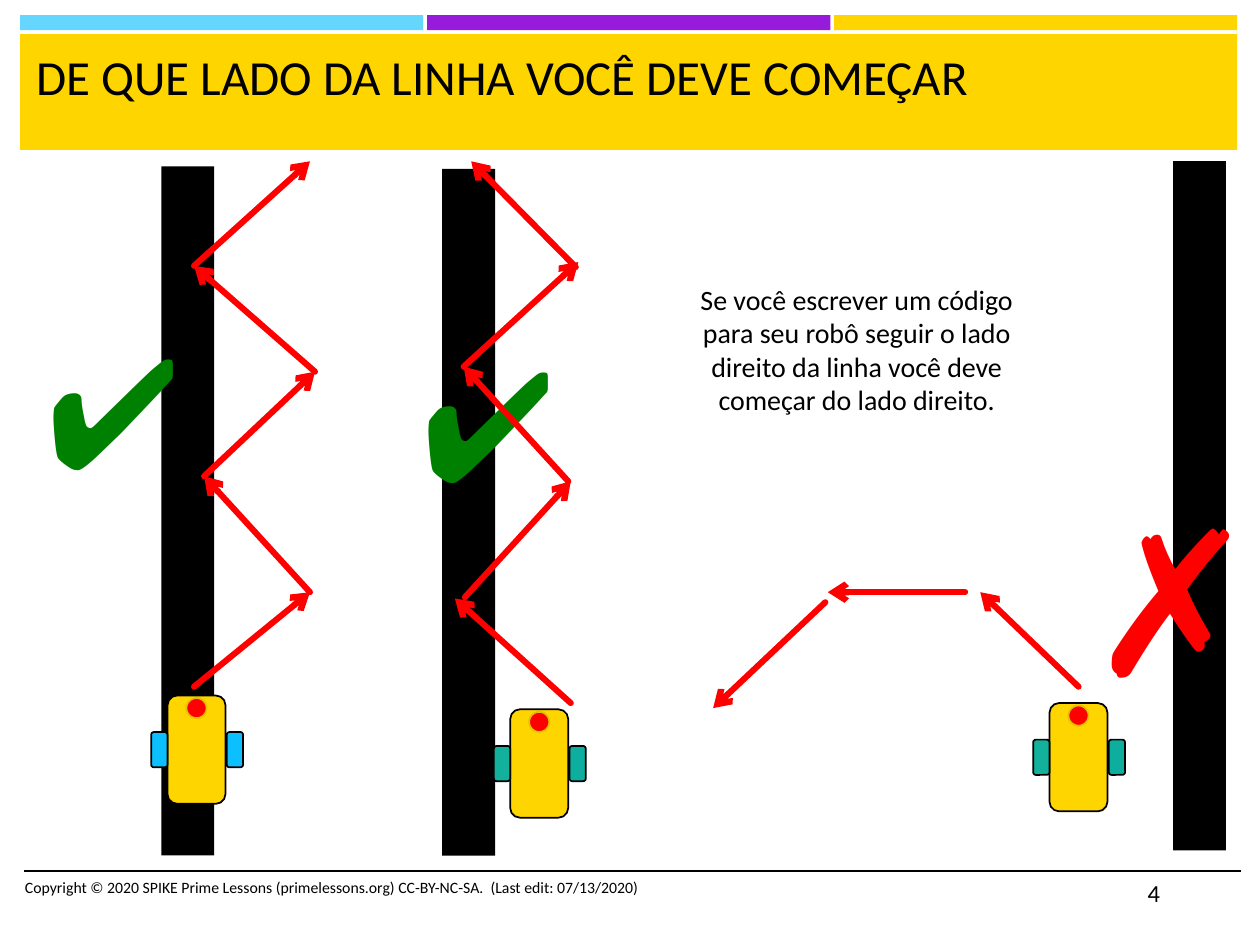
from dataclasses import dataclass
from itertools import pairwise

from lxml.etree import SubElement
from pptx import Presentation
from pptx.dml.color import RGBColor
from pptx.enum.shapes import MSO_CONNECTOR, MSO_SHAPE
from pptx.enum.text import MSO_ANCHOR, PP_ALIGN
from pptx.oxml.ns import qn
from pptx.slide import Slide
from pptx.util import Inches, Pt

BLACK = RGBColor(0x00, 0x00, 0x00)
YELLOW = RGBColor(0xFF, 0xD5, 0x00)
GOLD = RGBColor(0xE6, 0xC0, 0x00)
SKY = RGBColor(0x65, 0xD7, 0xFF)
PURPLE = RGBColor(0x96, 0x1B, 0xDB)
RED = RGBColor(0xFF, 0x00, 0x00)
GREEN = RGBColor(0x00, 0x80, 0x00)
BLUE = RGBColor(0x0C, 0xC0, 0xFF)
TEAL = RGBColor(0x0E, 0xAE, 0x9F)
SEA = RGBColor(0x13, 0xB0, 0x9B)


def format_text(box, text, size, font="Calibri", color=BLACK, align=PP_ALIGN.LEFT):
    frame = box.text_frame
    frame.word_wrap = True
    frame.vertical_anchor = MSO_ANCHOR.TOP
    para = frame.paragraphs[0]
    para.alignment = align
    span = para.add_run()
    span.text = text
    span.font.name = font
    span.font.size = Pt(size)
    span.font.color.rgb = color


@dataclass
class LinePage:
    """Draws the line-following page in one consistent style."""

    page: Slide
    arrow_width: float = 3.5
    outline_width: float = 1

    def shape(self, kind, left, top, width, height, fill, outline=None):
        shape = self.page.shapes.add_shape(
            kind, Inches(left), Inches(top), Inches(width), Inches(height)
        )
        shape.shadow.inherit = False
        shape.fill.solid()
        shape.fill.fore_color.rgb = fill
        if outline is None:
            shape.line.fill.background()
        else:
            shape.line.color.rgb = outline
            shape.line.width = Pt(self.outline_width)

    def bar(self, left, top, width, height, fill):
        self.shape(MSO_SHAPE.RECTANGLE, left, top, width, height, fill)

    def text(self, left, top, width, height, text, **style):
        box = self.page.shapes.add_textbox(
            Inches(left), Inches(top), Inches(width), Inches(height)
        )
        format_text(box, text, **style)

    def line(self, start, end, color, width):
        line = self.page.shapes.add_connector(
            MSO_CONNECTOR.STRAIGHT, *map(Inches, (*start, *end))
        )
        line.line.color.rgb = color
        line.line.width = Pt(width)
        SubElement(line._element.spPr, qn("a:effectLst"))
        return line

    def arrow(self, start, end):
        arrow = self.line(start, end, RED, self.arrow_width)
        stroke = arrow.line._get_or_add_ln()
        stroke.set("cap", "rnd")
        SubElement(stroke, qn("a:tailEnd"), type="arrow")

    def robot(self, left, top, right_wheel, left_wheel):
        rounded = MSO_SHAPE.ROUNDED_RECTANGLE
        self.shape(rounded, left + 0.13, top, 0.46, 0.86, YELLOW, BLACK)
        for offset, color in ((0.6, right_wheel), (0, left_wheel)):
            self.shape(rounded, left + offset, top + 0.29, 0.13, 0.28, color, BLACK)
        self.shape(MSO_SHAPE.OVAL, left + 0.28, top + 0.02, 0.16, 0.16, RED, GOLD)


def main():
    deck = Presentation()
    deck.slide_width = Inches(10)
    deck.slide_height = Inches(7.5)
    page = deck.slides.add_slide(deck.slide_layouts[6])
    draw = LinePage(page)

    for column, color in enumerate((SKY, PURPLE, YELLOW)):
        draw.bar(0.16 + column * 3.23, 0.12, 3.2, 0.12, color)
    draw.bar(0.16, 0.27, 9.66, 0.92, YELLOW)
    draw.line((0.19, 6.91), (9.85, 6.91), BLACK, 1)
    draw.text(0.19, 0.32, 9.57, 0.82, "DE QUE LADO DA LINHA VOCÊ DEVE COMEÇAR", size=28)
    draw.text(9.01, 6.92, 0.84, 0.4, "4", size=14)

    for left, top, height in ((1.28, 1.32, 5.47), (3.51, 1.34, 5.45), (9.31, 1.28, 5.47)):
        draw.bar(left, top, 0.42, height, BLACK)

    left_path = [(1.54, 5.45), (2.46, 4.7), (1.62, 3.78), (2.5, 2.95), (1.54, 2.11), (2.46, 1.28)]
    for start, end in pairwise(left_path):
        draw.arrow(start, end)
    middle_path = [
        ((4.53, 5.58), (3.61, 4.75)),
        ((3.69, 4.74), (4.53, 3.82)),
        ((3.68, 2.91), (4.59, 2.08)),
        ((4.57, 2.12), (3.74, 1.28)),
    ]
    lost_path = [
        ((8.56, 5.45), (7.78, 4.7)),
        ((7.66, 4.7), (6.57, 4.7)),
        ((6.55, 4.78), (5.66, 5.62)),
    ]
    for start, end in middle_path + lost_path:
        draw.arrow(start, end)

    for left, top in ((3.25, 2.55), (0.27, 2.45)):
        draw.text(left, top, 1.07, 1.58, "✔", size=88, font="Arial", color=GREEN)
    draw.text(8.54, 3.72, 1.07, 2.04, "✗", size=115, font="Arial", color=RED)

    draw.robot(1.2, 5.52, BLUE, BLUE)
    draw.robot(3.92, 5.63, TEAL, SEA)
    draw.robot(8.2, 5.58, TEAL, SEA)
    draw.arrow((4.51, 3.82), (3.68, 2.91))

    draw.text(
        5.36, 2.19, 2.88, 1.18,
        "Se você escrever um código para seu robô seguir o lado direito da linha "
        "você deve começar do lado direito.",
        size=16, align=PP_ALIGN.CENTER,
    )
    draw.text(
        0.1, 6.92, 5.33, 0.4,
        "Copyright © 2020 SPIKE Prime Lessons (primelessons.org) CC-BY-NC-SA.  "
        "(Last edit: 07/13/2020)",
        size=9,
    )
    deck.save("out.pptx")


if __name__ == "__main__":
    main()
